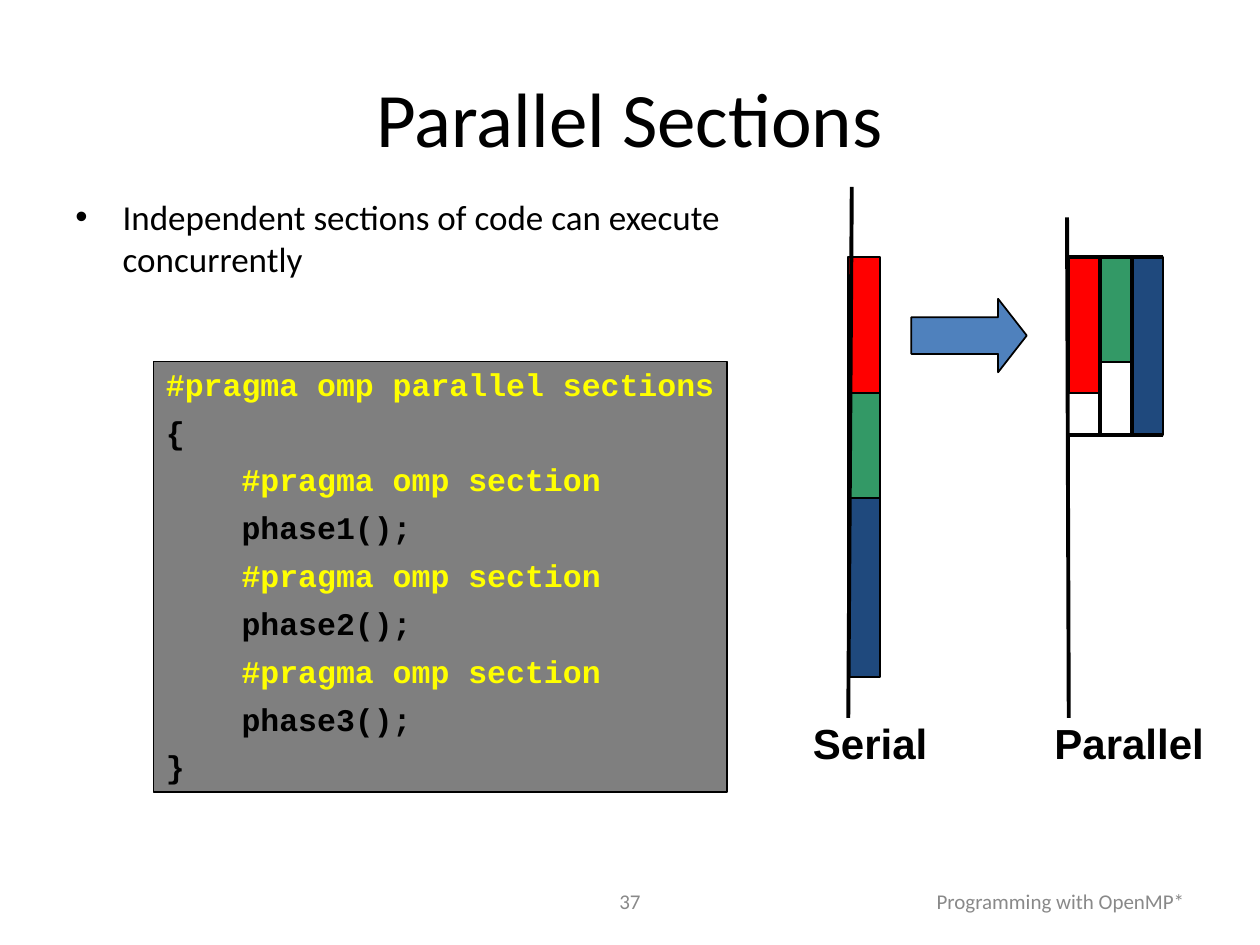
from dataclasses import dataclass
from itertools import accumulate
from lxml.etree import SubElement
from pptx import Presentation
from pptx.dml.color import RGBColor
from pptx.enum.shapes import MSO_CONNECTOR, MSO_SHAPE
from pptx.enum.text import MSO_ANCHOR, MSO_AUTO_SIZE, PP_ALIGN
from pptx.oxml.ns import qn
from pptx.util import Pt


@dataclass(frozen=True)
class Theme:
    """Colours, fonts and sizes of the slide."""
    ink: str = "000000"
    muted: str = "898989"
    panel: str = "7F7F7F"
    pragma: str = "FFFF00"
    arrow: str = "4F81BD"
    phases: tuple = ("FF0000", "339966", "1F497D")
    sans: str = "Calibri"
    label: str = "Arial"
    mono: str = "Courier New"
    title: int = 44
    body: int = 20
    code: int = 18
    tag: int = 24
    foot: int = 12
    thin: float = 1
    thick: float = 2.25


THEME = Theme()
CODE = (
    (0, "#pragma omp parallel sections"),
    (0, "{"),
    (1, "#pragma omp section"),
    (1, "phase1();"),
    (1, "#pragma omp section"),
    (1, "phase2();"),
    (1, "#pragma omp section"),
    (1, "phase3();"),
    (0, "}"),
)
TIMES = (78, 60, 102)
BAR = 18


def style(para, font, size, color, bold=False):
    """Format every run of a paragraph."""
    for run in para.runs:
        run.font.name = font
        run.font.size = Pt(size)
        run.font.bold = bold
        run.font.color.rgb = RGBColor.from_string(color)


def add_text(slide, box, text, font, size, color, align=PP_ALIGN.CENTER,
             anchor=MSO_ANCHOR.MIDDLE, bold=False, wrap=True):
    """Add a one-paragraph text box; unwrapped boxes fit their text."""
    frame = slide.shapes.add_textbox(*map(Pt, box)).text_frame
    frame.word_wrap = wrap
    if not wrap:
        frame.auto_size = MSO_AUTO_SIZE.SHAPE_TO_FIT_TEXT
    frame.vertical_anchor = anchor
    frame.text = text
    para = frame.paragraphs[0]
    para.alignment = align
    style(para, font, size, color, bold)
    return para


def add_form(slide, kind, box, fill):
    """Add a filled shape with a thin outline."""
    form = slide.shapes.add_shape(kind, *map(Pt, box))
    form.shadow.inherit = False
    form.fill.solid()
    form.fill.fore_color.rgb = RGBColor.from_string(fill)
    form.line.color.rgb = RGBColor.from_string(THEME.ink)
    form.line.width = Pt(THEME.thin)
    return form


def add_line(slide, *ends):
    """Add a thick line from x1, y1 to x2, y2."""
    line = slide.shapes.add_connector(MSO_CONNECTOR.STRAIGHT, *map(Pt, ends))
    line.line.color.rgb = RGBColor.from_string(THEME.ink)
    line.line.width = Pt(THEME.thick)
    SubElement(line._element.spPr, qn("a:effectLst"))


def add_point(slide, box, text):
    """Add a bulleted statement with a hanging indent."""
    para = add_text(slide, box, text, THEME.sans, THEME.body, THEME.ink,
                    PP_ALIGN.LEFT, MSO_ANCHOR.TOP)
    para.space_before = Pt(5)
    props = para._p.get_or_add_pPr()
    props.set("marL", str(Pt(27)))
    props.set("indent", str(-Pt(27)))
    SubElement(props, qn("a:buFont"), typeface=THEME.label)
    SubElement(props, qn("a:buChar"), char="•")


def add_code(slide, box, rows):
    """Add the code panel, with pragmas highlighted."""
    frame = add_form(slide, MSO_SHAPE.RECTANGLE, box, THEME.panel).text_frame
    frame.word_wrap = True
    frame.vertical_anchor = MSO_ANCHOR.TOP
    frame.text = "\n".join(text for _, text in rows)
    for para, (level, text) in zip(frame.paragraphs, rows):
        para.alignment = PP_ALIGN.LEFT
        para.line_spacing = 0.95
        para.space_before = Pt(6.8)
        para._p.get_or_add_pPr().set("marL", str(Pt(43.2 * level)))
        color = THEME.pragma if text.startswith("#") else THEME.ink
        style(para, THEME.mono, THEME.code, color, True)


def add_tag(slide, box, text):
    """Add a bold label below a time line."""
    add_text(slide, box, text, THEME.label, THEME.tag, THEME.ink,
             anchor=MSO_ANCHOR.TOP, bold=True, wrap=False)


def add_serial(slide, left, top):
    """Stack the phases along one time line."""
    starts = accumulate(TIMES, initial=0)
    for start, time, fill in zip(starts, TIMES, THEME.phases):
        add_form(slide, MSO_SHAPE.RECTANGLE,
                 (left, top + start, BAR, time), fill)
    add_line(slide, left + 2, top - 40, left, top + 263.5)
    add_tag(slide, (left - 28.5, top + 259.5, 82, 36), "Serial")


def add_parallel(slide, left, top):
    """Set the phases side by side between fork and join lines."""
    edges = [left + BAR * i for i in range(len(TIMES) + 1)]
    end = top + max(TIMES)
    for x, time, fill in zip(edges, TIMES, THEME.phases):
        add_form(slide, MSO_SHAPE.RECTANGLE, (x, top, BAR, time), fill)
    add_line(slide, left - 1, top - 22.5, left, top + 263.5)
    for x in edges[1:-1]:
        add_line(slide, x, top, x, end)
    for y in (end, top):
        add_line(slide, edges[-1], y, left, y)
    add_tag(slide, (left - 17, top + 259.5, 103, 36), "Parallel")


def add_phases(slide, left, top):
    """Compare serial and parallel timing, joined by an arrow."""
    add_serial(slide, left, top)
    add_parallel(slide, left + 126, top)
    arrow = add_form(slide, MSO_SHAPE.RIGHT_ARROW,
                     (left + 36, top + 24, 66, 42), THEME.arrow)
    arrow.adjustments[0] = 0.5
    arrow.adjustments[1] = 0.39


def add_foot(slide, top):
    """Add the page number and the running title."""
    for left, width, text, align in (
            (246, 228, "37", PP_ALIGN.CENTER),
            (516, 168, "Programming with OpenMP*", PP_ALIGN.RIGHT)):
        add_text(slide, (left, top, width, 28.75), text, THEME.sans,
                 THEME.foot, THEME.muted, align)


def main():
    """Build the slide and save it."""
    deck = Presentation()
    deck.slide_width, deck.slide_height = Pt(720), Pt(540)
    slide = deck.slides.add_slide(deck.slide_layouts[6])
    add_foot(slide, 500.5)
    add_text(slide, (36, 21.6, 648, 90), "Parallel Sections",
             THEME.sans, THEME.title, THEME.ink)
    add_point(slide, (36, 108, 425.5, 72),
              "Independent sections of code can execute concurrently")
    add_phases(slide, 484.75, 146.75)
    add_code(slide, (87.75, 206.5, 327.75, 246.25), CODE)
    deck.save("out.pptx")


main()
